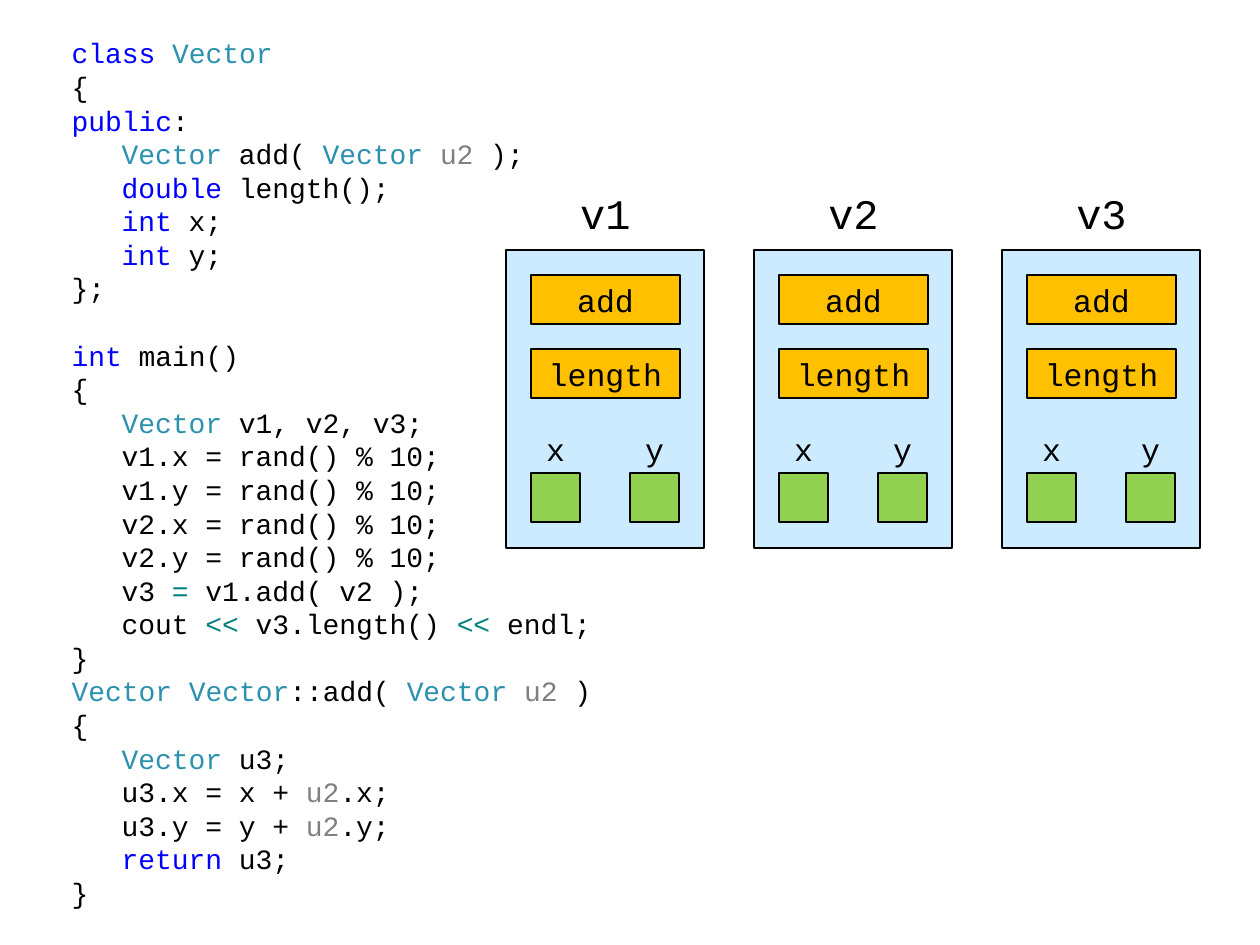
from lxml.etree import SubElement
from pptx import Presentation
from pptx.dml.color import RGBColor
from pptx.enum.shapes import MSO_SHAPE
from pptx.enum.text import MSO_ANCHOR, MSO_AUTO_SIZE, PP_ALIGN
from pptx.oxml.ns import qn
from pptx.util import Emu, Inches, Pt

SCALE = Inches(1) / 126
COLORS = {
    "text": "000000",
    "keyword": "0000FF",
    "type": "2B91AF",
    "param": "808080",
    "operator": "008080",
    "object": "CCEBFF",
    "method": "FFC000",
    "field": "92D050",
}
FONT = "Courier New"
INDENT = 50
LINE_PT = 19.2
GAP = "gap"

VECTOR = ("Vector ", "type")
U2 = ("u2", "param")
CODE = [
    (0, [("class ", "keyword"), ("Vector", "type")]),
    (0, ["{"]),
    (0, [("public", "keyword"), ":"]),
    (1, [("Vector", "type"), " add( ", VECTOR, U2, " );"]),
    (1, [("double", "keyword"), " length();"]),
    (1, [("int", "keyword"), " x;"]),
    (1, [("int", "keyword"), " y;"]),
    (0, ["};"]),
    GAP,
    (0, [("int", "keyword"), " main()"]),
    (0, ["{"]),
    (1, [VECTOR, "v1, v2, v3;"]),
    (1, ["v1.x = rand() % 10;"]),
    (1, ["v1.y = rand() % 10;"]),
    (1, ["v2.x = rand() % 10;"]),
    (1, ["v2.y = rand() % 10;"]),
    (1, ["v3 ", ("= ", "operator"), "v1.add( v2 );"]),
    (1, ["cout ", ("<< ", "operator"), "v3.length() ", ("<<", "operator"), " endl;"]),
    (0, ["}"]),
    (0, [("Vector Vector", "type"), "::add( ", VECTOR, U2, " )"]),
    (0, ["{"]),
    (1, [VECTOR, "u3;"]),
    (1, ["u3.x = x + ", U2, ".x;"]),
    (1, ["u3.y = y + ", U2, ".y;"]),
    (1, [("return ", "keyword"), "u3;"]),
    (0, ["}"]),
]


def px(n):
    return Emu(round(n * SCALE))


def add_run(p, text, size=18, color="text"):
    r = p.add_run()
    r.text = text
    r.font.name = FONT
    r.font.size = Pt(size)
    r.font.color.rgb = RGBColor.from_string(COLORS[color])


class Builder:
    def __init__(self, s):
        self.s = s

    def frame(self, sp):
        tf = sp.text_frame
        tf.word_wrap = True
        tf.auto_size = MSO_AUTO_SIZE.NONE
        tf.vertical_anchor = MSO_ANCHOR.MIDDLE
        return tf

    def centered(self, sp, text, size, before):
        tf = self.frame(sp)
        tf.margin_left = tf.margin_right = 0
        p = tf.paragraphs[0]
        p.alignment = PP_ALIGN.CENTER
        p.space_before = Pt(before)
        add_run(p, text, size=size)

    def box(self, x, y, w, h, fill, text=None):
        sp = self.s.shapes.add_shape(
            MSO_SHAPE.FLOWCHART_PROCESS, px(x), px(y), px(w), px(h))
        sp.shadow.inherit = False
        sp.fill.solid()
        sp.fill.fore_color.rgb = RGBColor.from_string(COLORS[fill])
        sp.line.color.rgb = RGBColor.from_string(COLORS["text"])
        sp.line.width = Pt(1.5)
        if text:
            self.centered(sp, text, 18, 4)

    def label(self, x, y, w, h, text, size=18):
        sp = self.s.shapes.add_textbox(px(x), px(y), px(w), px(h))
        self.centered(sp, text, size, 6)

    def code(self, x, y, w, h, lines):
        sp = self.s.placeholders[1]
        sp.left, sp.top, sp.width, sp.height = px(x), px(y), px(w), px(h)
        tf = self.frame(sp)
        p, before = tf.paragraphs[0], 0
        for line in lines:
            if line == GAP:
                before = LINE_PT
                continue
            depth, parts = line
            if p.runs:
                p = tf.add_paragraph()
            p.space_before, before = Pt(before), 0
            p.line_spacing = Pt(LINE_PT)
            pPr = p._p.get_or_add_pPr()
            pPr.set("marL", str(px(depth * INDENT)))
            pPr.set("indent", "0")
            SubElement(pPr, qn("a:buNone"))
            for part in parts:
                text, color = (part, "text") if isinstance(part, str) else part
                add_run(p, text, size=16, color=color)

    def vector(self, x, y, name):
        self.label(x + 50, y - 74, 99, 74, name, size=24)
        self.box(x, y, 198, 298, "object")
        for i, method in enumerate(("add", "length")):
            self.box(x + 25, y + 25 + 74 * i, 149, 49, "method", method)
        for i, field in enumerate(("x", "y")):
            left = x + 25 + 99 * i
            self.label(left, y + 174, 49, 49, field)
            self.box(left, y + 223, 49, 49, "field")


def main():
    prs = Presentation()
    prs.slide_width, prs.slide_height = Inches(10), Inches(7.5)
    s = prs.slides.add_slide(prs.slide_layouts[1])
    title = s.shapes.title.element
    title.getparent().remove(title)
    b = Builder(s)
    b.code(59, 26, 620, 893, CODE)
    for i, name in enumerate(("v1", "v2", "v3")):
        b.vector(506 + 248 * i, 250, name)
    prs.save("out.pptx")


if __name__ == "__main__":
    main()
